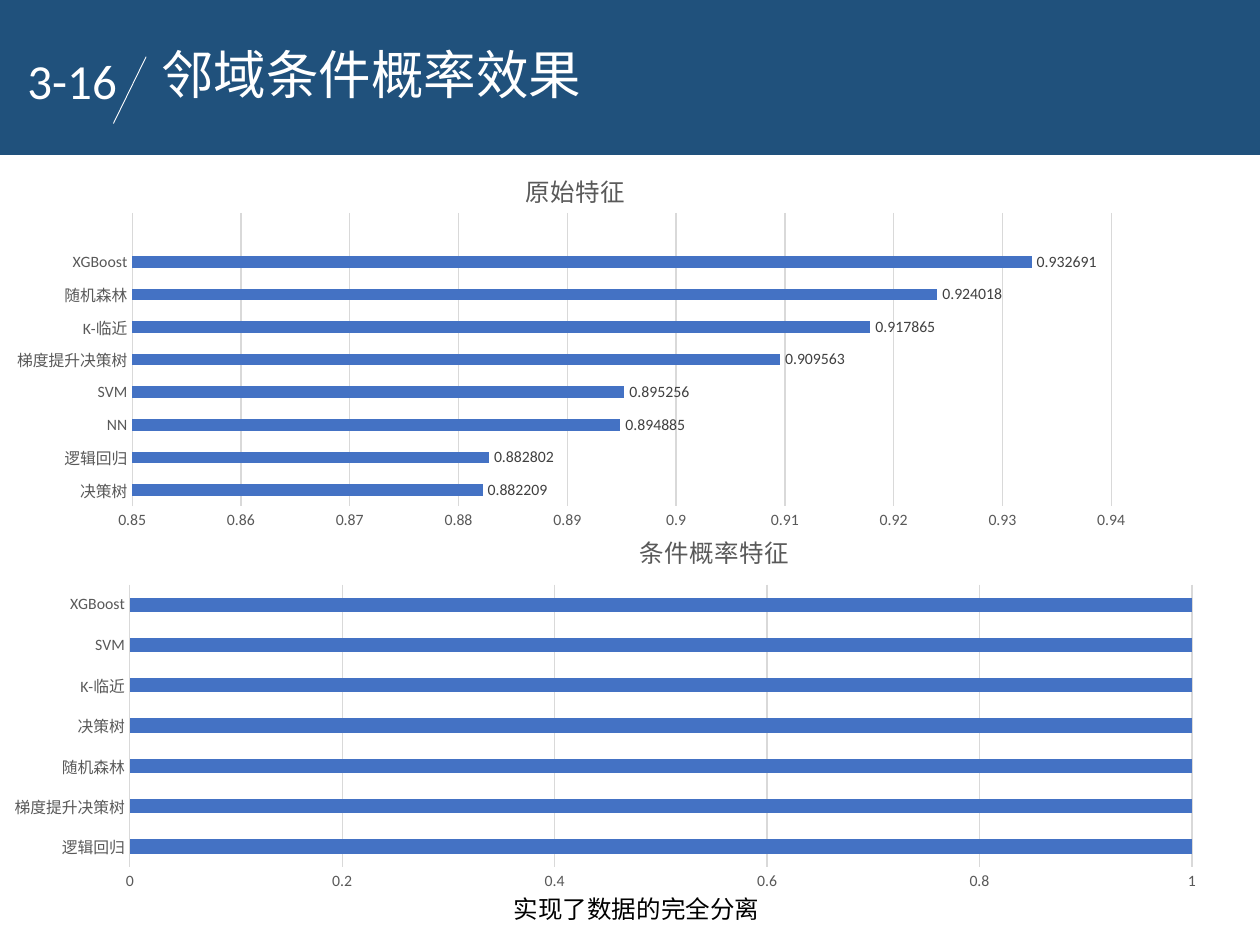
from lxml import etree
from pptx import Presentation
from pptx.chart.data import CategoryChartData
from pptx.dml.color import RGBColor
from pptx.enum import chart as charts, shapes, text
from pptx.oxml import ns, parse_xml
from pptx.util import Inches, Pt

COLORS = {"band": "20517C", "white": "FFFFFF", "black": "000000", "bar": "4472C4",
          "axis": "595959", "grid": "D9D9D9", "value": "404040"}
LATIN, CJK = "Calibri", "Noto Sans CJK SC"

ORIGINAL = {"决策树": 0.882209, "逻辑回归": 0.882802, "NN": 0.894885,
            "SVM": 0.895256, "梯度提升决策树": 0.909563, "K-临近": 0.917865,
            "随机森林": 0.924018, "XGBoost": 0.932691, "": None}
CONDITIONAL = dict.fromkeys(
    ["逻辑回归", "梯度提升决策树", "随机森林", "决策树", "K-临近", "SVM", "XGBoost"], 1)


def color(name):
    return RGBColor.from_string(COLORS[name])


def set_font(font, size, shade, name=LATIN):
    for key, value in {"size": Pt(size), "name": name, "bold": False}.items():
        setattr(font, key, value)
    font.color.rgb = color(shade)


def set_line(line, shade, width):
    line.color.rgb = color(shade)
    line.width = Pt(width)


def place(shape, box):
    for key, value in zip(("left", "top", "width", "height"), box):
        setattr(shape, key, Inches(value))


def write(shape, words, size, shade, name=LATIN):
    frame = shape.text_frame
    frame.word_wrap = True
    para = frame.paragraphs[0]
    para.alignment = text.PP_ALIGN.LEFT
    span = para.add_run()
    span.text = words
    set_font(span.font, size, shade, name)
    east = etree.SubElement(span.font._element, ns.qn("a:ea"))
    east.set("typeface", CJK)
    return para


def add_text(page, box, words, size, shade):
    write(page.shapes.add_textbox(*map(Inches, box)), words, size, shade)


def add_header(page, box):
    left, top, width, height = box
    band = page.shapes.add_shape(shapes.MSO_SHAPE.RECTANGLE, *map(Inches, box))
    band.shadow.inherit = False
    band.fill.solid()
    band.fill.fore_color.rgb = color("band")
    band.line.fill.background()

    slash = page.shapes.add_connector(
        shapes.MSO_CONNECTOR.STRAIGHT, Inches(left + 1.18), Inches(top + 0.45),
        Inches(left + 0.92), Inches(top + 0.98))
    set_line(slash.line, "white", 0.5)
    etree.SubElement(slash._element.spPr, ns.qn("a:effectLst"))

    title = page.shapes.title
    title._element.getparent().append(title._element)  # in front of the band
    place(title, (left + 1.2, top + 0.38, 3.76, 0.54))
    title.text_frame.vertical_anchor = text.MSO_ANCHOR.TOP
    para = write(title, "邻域条件概率效果", 30, "white", CJK)
    para.line_spacing = 0.8
    add_text(page, (left + 0.14, top + 0.35, 1.06, 0.57), "3-16", 28, "white")


def manual_layout(box, part, target=""):
    """Return a chart layout for a part given in slide inches."""
    left, top, width, height = box
    shares = {"x": (part[0] - left) / width, "y": (part[1] - top) / height}
    if len(part) == 4:
        shares.update(w=part[2] / width, h=part[3] / height)
    marks = "".join(f'<c:{key} val="{share:.4f}"/>' for key, share in shares.items())
    return parse_xml(
        f'<c:layout {ns.nsdecls("c")}><c:manualLayout>{target}'
        f'<c:xMode val="edge"/><c:yMode val="edge"/>{marks}</c:manualLayout></c:layout>')


def set_layout(parent, index, layout):
    for old in parent.findall(ns.qn("c:layout")):
        parent.remove(old)
    parent.insert(index, layout)


def add_bars(page, box, plot, heading, scores, scale, labelled=False, title_at=None):
    data = CategoryChartData(number_format="General")
    data.categories = list(scores)
    data.add_series("Series 1", list(scores.values()))
    chart = page.shapes.add_chart(
        charts.XL_CHART_TYPE.BAR_CLUSTERED, *map(Inches, box), data).chart
    chart.has_legend = False
    set_font(chart.font, 10, "black")
    chart.has_title = True
    span = chart.chart_title.text_frame.paragraphs[0].add_run()
    span.text = heading
    set_font(span.font, 14, "axis")
    chart.chart_title.include_in_layout = False
    if title_at:
        set_layout(chart.chart_title._element, 1, manual_layout(box, title_at))
    set_layout(chart._chartSpace.chart.plotArea, 0,
               manual_layout(box, plot, '<c:layoutTarget val="inner"/>'))

    for axis in (chart.category_axis, chart.value_axis):
        axis.major_tick_mark = axis.minor_tick_mark = charts.XL_TICK_MARK.NONE
        set_font(axis.tick_labels.font, 9, "axis")
    set_line(chart.category_axis.format.line, "grid", 0.75)
    values = chart.value_axis
    values.minimum_scale, values.maximum_scale, values.major_unit = scale
    values.format.line.fill.background()
    set_line(values.major_gridlines.format.line, "grid", 0.75)

    bars = chart.plots[0]
    bars.gap_width = 182
    bars.vary_by_categories = False
    series = bars.series[0]
    series.format.fill.solid()
    series.format.fill.fore_color.rgb = color("bar")
    if labelled:
        labels = series.data_labels
        labels.show_value = True
        labels.position = charts.XL_LABEL_POSITION.OUTSIDE_END
        set_font(labels.font, 9, "value")


def main():
    deck = Presentation()
    deck.slide_width, deck.slide_height = Inches(10), Inches(7.5)
    page = deck.slides.add_slide(deck.slide_layouts[5])
    add_header(page, (-0.02, 0, 10.02, 1.23))
    add_bars(page, (-0.12, 4.06, 11.58, 3.06), (1.03, 4.64, 8.43, 2.24),
             "条件概率特征", CONDITIONAL, (0, 1, 0.2))
    add_bars(page, (-0.04, 1.11, 9.29, 3.15), (1.05, 1.69, 7.77, 2.33),
             "原始特征", ORIGINAL, (0.85, 0.94, 0.01), labelled=True,
             title_at=(4.14, 1.31))
    add_text(page, (3.98, 7.05, 3.7, 0.34), "实现了数据的完全分离", 14, "black")
    deck.save("out.pptx")


if __name__ == "__main__":
    main()
